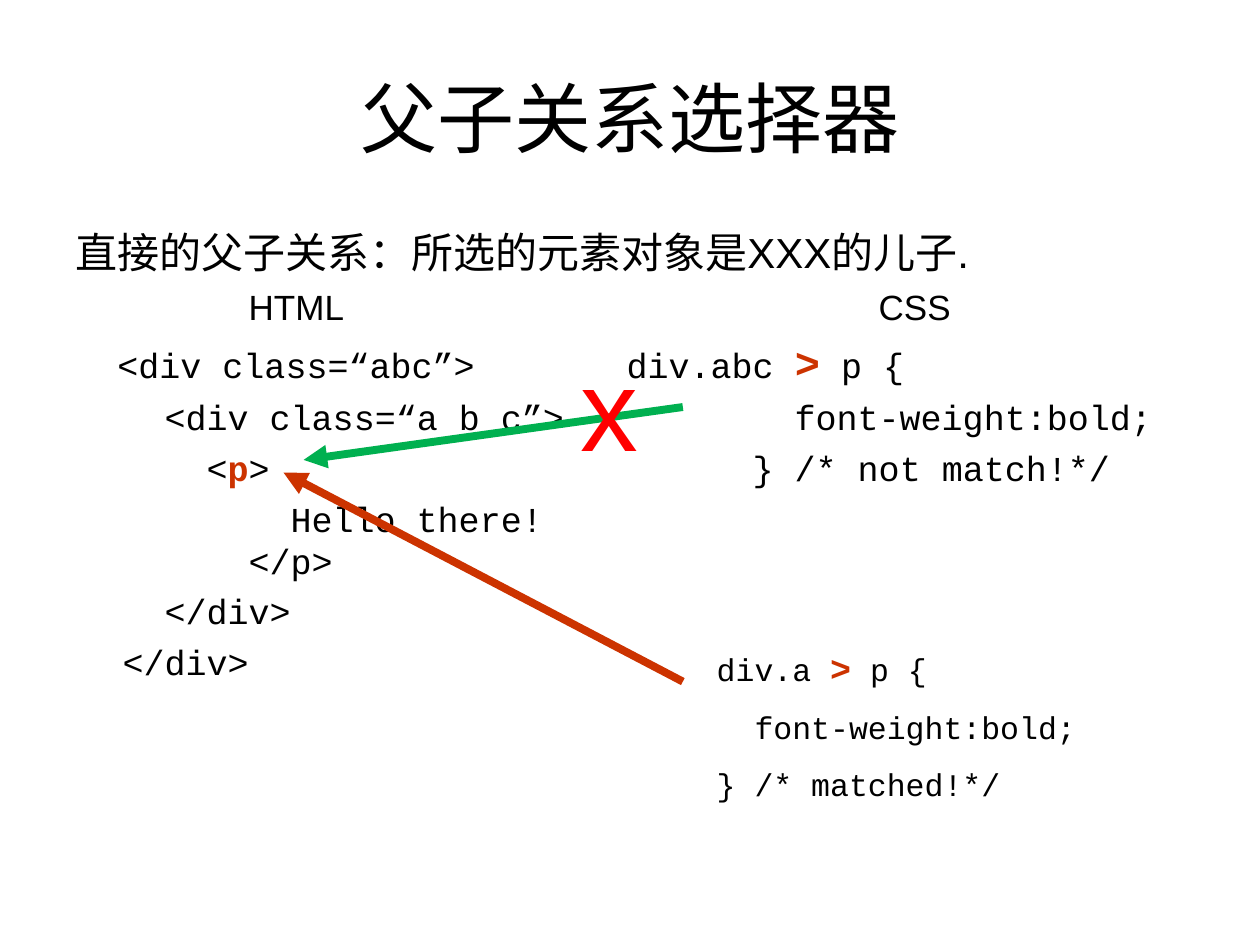
from lxml.etree import SubElement
from pptx import Presentation
from pptx.dml.color import RGBColor
from pptx.enum.shapes import MSO_CONNECTOR
from pptx.enum.text import MSO_ANCHOR, MSO_AUTO_SIZE, PP_ALIGN
from pptx.oxml.ns import qn
from pptx.util import Pt

BLACK = RGBColor(0x00, 0x00, 0x00)
ORANGE = RGBColor(0xCC, 0x33, 0x00)
GREEN = RGBColor(0x00, 0xB0, 0x50)
RED = RGBColor(0xFF, 0x00, 0x00)
SANS, MONO = "Arial", "Courier New"


def add_text_frame(slide, box, wrap=True):
    """Add a text box at (left, top, width, height) and return its frame."""
    frame = slide.shapes.add_textbox(*map(Pt, box)).text_frame
    frame.word_wrap = wrap
    frame.auto_size = MSO_AUTO_SIZE.NONE if wrap else MSO_AUTO_SIZE.SHAPE_TO_FIT_TEXT
    return frame


def add_run(paragraph, text, size, font, color=BLACK, bold=False):
    """Append one formatted run."""
    run = paragraph.add_run()
    run.text = text
    run.font.size = Pt(size)
    run.font.name = font
    run.font.color.rgb = color
    run.font.bold = bold


def add_marked_line(paragraph, line, size, font, mark_size):
    """Write a line whose part between asterisk pairs is highlighted."""
    for index, part in enumerate(line.split("**")):
        marked = index % 2 == 1
        add_run(paragraph, part, mark_size if marked else size, font,
                ORANGE if marked else BLACK, marked)


def set_tab_stops(paragraph, stops):
    """Give a paragraph left tab stops, in points."""
    tab_list = SubElement(paragraph._p.get_or_add_pPr(), qn("a:tabLst"))
    for stop in stops:
        SubElement(tab_list, qn("a:tab"), pos=str(int(Pt(stop))), algn="l")


def add_title(slide, box):
    """Place the centred slide title."""
    frame = add_text_frame(slide, box)
    frame.vertical_anchor = MSO_ANCHOR.MIDDLE
    frame.paragraphs[0].alignment = PP_ALIGN.CENTER
    add_run(frame.paragraphs[0], "父子关系选择器", 44, SANS)


def add_comparison(slide, box):
    """Place the explanation and the HTML and CSS columns under it."""
    frame = add_text_frame(slide, box)
    intro = frame.paragraphs[0]
    intro.space_before = Pt(6)
    add_run(intro, "直接的父子关系：所选的元素对象是XXX的儿子.", 24, SANS)
    rows = [
        ("\tHTML\tCSS", SANS, (99, 459), 5, 20),
        ("\t<div class=“abc”>\tdiv.abc **>** p {", MONO, (24, 315), 5, 24),
        ("\t<div class=“a b c”>\tfont-weight:bold;", MONO, (51, 411), 5, 20),
        ("\t<**p**>\t} /* not match!*/", MONO, (75, 387), 5, 20),
        ("\tHello there!", MONO, (123,), 5, 20),
        ("\t</p>", MONO, (99,), 0, 20),
        ("\t</div>", MONO, (51,), 5, 20),
        ("\t</div>", MONO, (27,), 5, 20),
    ]
    for line, font, stops, gap, mark_size in rows:
        paragraph = frame.add_paragraph()
        paragraph.space_before = Pt(gap)
        set_tab_stops(paragraph, stops)
        add_marked_line(paragraph, line, 20, font, mark_size)


def add_matching_rule(slide, box):
    """Place the CSS rule that matches."""
    frame = add_text_frame(slide, box, wrap=False)
    lines = ["div.a **>** p {", "  font-weight:bold;", "} /* matched!*/"]
    for index, line in enumerate(lines):
        paragraph = frame.add_paragraph() if index else frame.paragraphs[0]
        paragraph.line_spacing = 1.5
        add_marked_line(paragraph, line, 18, MONO, 20)


def add_arrow(slide, start, end, color):
    """Draw a thick arrow from a CSS rule to the HTML element."""
    arrow = slide.shapes.add_connector(MSO_CONNECTOR.STRAIGHT, *map(Pt, start + end))
    arrow.line.color.rgb = color
    arrow.line.width = Pt(4.5)
    SubElement(arrow.line._get_or_add_ln(), qn("a:tailEnd"), type="triangle")
    SubElement(arrow._element.spPr, qn("a:effectLst"))


def add_cross(slide, box):
    """Place the red cross over the arrow that does not match."""
    frame = add_text_frame(slide, box, wrap=False)
    add_run(frame.paragraphs[0], "x", 66, SANS, RED)


def main():
    """Build and save the slide."""
    deck = Presentation()
    deck.slide_width, deck.slide_height = Pt(720), Pt(540)
    slide = deck.slides.add_slide(deck.slide_layouts[6])
    add_title(slide, (36, 21.6, 648, 90))
    add_comparison(slide, (36, 126, 648, 356.4))
    add_matching_rule(slide, (402.5, 354.2, 230.4, 108))
    add_arrow(slide, (390.2, 389.5), (162, 270), ORANGE)
    add_arrow(slide, (390.2, 232.6), (173.5, 262.8), GREEN)
    add_cross(slide, (324.7, 188.6, 47.5, 86.4))
    deck.save("out.pptx")


if __name__ == "__main__":
    main()
